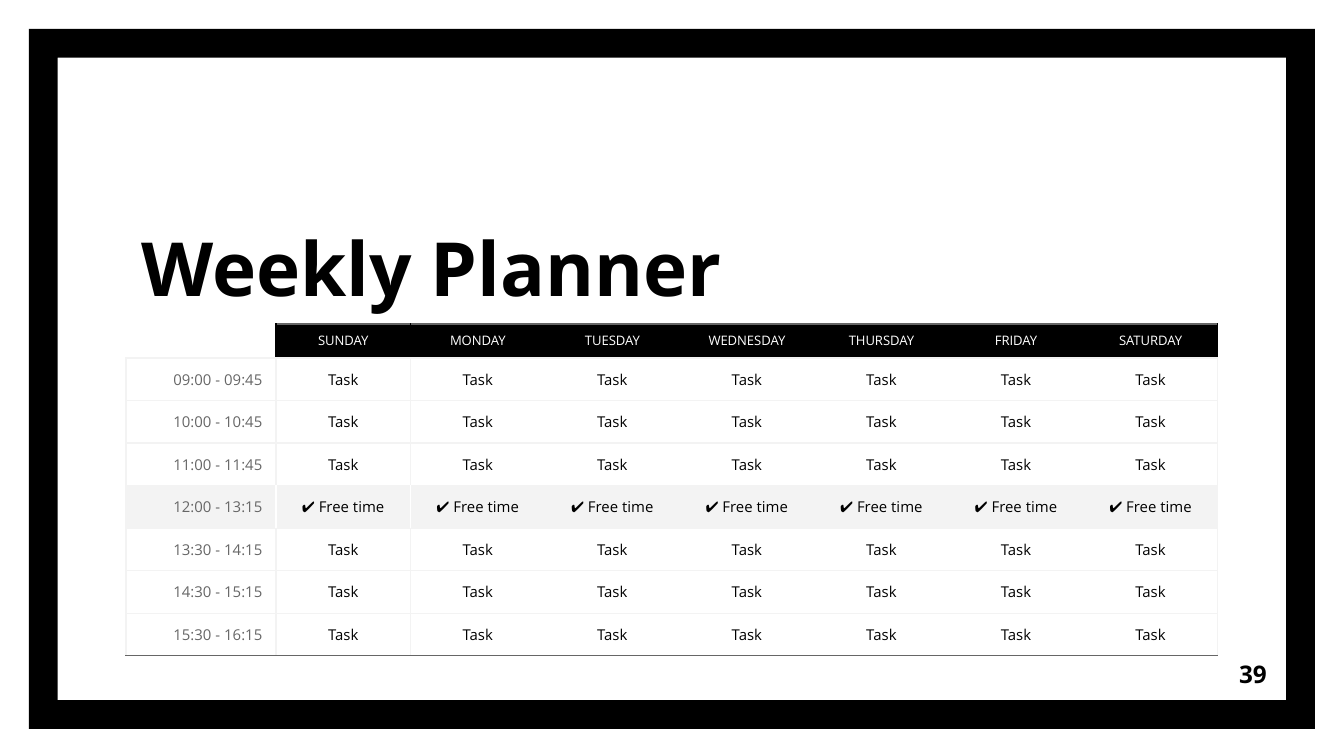
"""Build the weekly planner slide."""
from lxml import etree
from pptx import Presentation
from pptx import util as u
from pptx.dml import color
from pptx.enum import shapes, text
from pptx.oxml import ns

SCALE = 914400 / 134.4
BLACK, GREY, PALE, WHITE = "000000", "666666", "F3F3F3", "FFFFFF"
LEFT, CENTER, RIGHT = text.PP_ALIGN.LEFT, text.PP_ALIGN.CENTER, text.PP_ALIGN.RIGHT
DAYS = ["SUNDAY", "MONDAY", "TUESDAY", "WEDNESDAY", "THURSDAY", "FRIDAY", "SATURDAY"]
TIMES = ["09:00 - 09:45", "10:00 - 10:45", "11:00 - 11:45", "12:00 - 13:15",
         "13:30 - 14:15", "14:30 - 15:15", "15:30 - 16:15"]
FREE_ROW = 4
NO_STYLE = "{2D5ABB26-0587-4C30-8999-92F81FD0307C}"


def rgb(value):
    return color.RGBColor.from_string(value)


def write(frame, words, size, shade, align, bold=False):
    para = frame.paragraphs[0]
    para.alignment = align
    span = para.add_run()
    span.text = words
    look = {"name": "Open Sans", "size": u.Pt(size), "bold": bold}
    for name, value in look.items():
        setattr(span.font, name, value)
    span.font.color.rgb = rgb(shade)


deck = Presentation()
deck.slide_width, deck.slide_height = [round(n * SCALE) for n in (1344, 756)]
page = deck.slides.add_slide(deck.slide_layouts[5])

border = page.shapes.add_shape(
    shapes.MSO_SHAPE.FRAME, *[round(n * SCALE) for n in (29, 29, 1286, 700)])
border.adjustments[0] = 0.041
border.shadow.inherit = False
border.fill.solid()
border.fill.fore_color.rgb = rgb(BLACK)
border.line.fill.background()

title = page.shapes.title
number = page.shapes.add_textbox(0, 0, 0, 0)
inset = u.Inches(0.1)
for box, place, anchor, words, size, align in [
    (title, (128, 125, 749, 200), text.MSO_ANCHOR.BOTTOM, "Weekly Planner", 40, LEFT),
    (number, (1199, 645, 81, 58), text.MSO_ANCHOR.MIDDLE, "39", 13, RIGHT),
]:
    for name, value in zip(("left", "top", "width", "height"), place):
        setattr(box, name, round(value * SCALE))
    layout = {"word_wrap": True, "auto_size": text.MSO_AUTO_SIZE.NONE,
              "vertical_anchor": anchor, "margin_left": inset, "margin_right": inset,
              "margin_top": inset, "margin_bottom": inset}
    for name, value in layout.items():
        setattr(box.text_frame, name, value)
    write(box.text_frame, words, size, BLACK, align, bold=True)

last_row, last_column = len(TIMES), len(DAYS)
planner = page.shapes.add_table(
    last_row + 1, last_column + 1, *[round(n * SCALE) for n in (126, 324, 1092, 332)])
table = planner.table
table.first_row = table.horz_banding = False
planner._element.find(".//" + ns.qn("a:tableStyleId")).text = NO_STYLE
for index, column in enumerate(table.columns):
    column.width = round((942 / last_column if index else 150) * SCALE)
for index, line in enumerate(table.rows):
    line.height = round((298 / last_row if index else 34) * SCALE)

for row in range(last_row + 1):
    for col in range(last_column + 1):
        cell = table.cell(row, col)
        cell.vertical_anchor = text.MSO_ANCHOR.MIDDLE
        header, free = row == 0, row == FREE_ROW

        sides = {}
        upright = BLACK if header else PALE
        divider = WHITE if free else upright
        if col == 1 or (col == 0 and not header):
            sides["a:lnL"] = divider if col else upright
        if col in (0, last_column):
            sides["a:lnR"] = upright if col else divider
        if not header or col:
            sides["a:lnT"] = GREY if header else PALE
        sides["a:lnB"] = GREY if row == last_row else PALE
        properties = cell._tc.get_or_add_tcPr()
        for side, shade in sides.items():
            edge = etree.SubElement(properties, ns.qn(side), w=str(u.Pt(0.75)))
            fill = etree.SubElement(edge, ns.qn("a:solidFill"))
            etree.SubElement(fill, ns.qn("a:srgbClr"), val=shade)

        if free or (header and col):
            cell.fill.solid()
            cell.fill.fore_color.rgb = rgb(PALE if free else BLACK)
        else:
            cell.fill.background()

        if header and col:
            write(cell.text_frame, DAYS[col - 1], 7, WHITE, CENTER)
        elif header:
            etree.SubElement(cell.text_frame.paragraphs[0]._p, ns.qn("a:endParaRPr"), sz="700")
        elif col:
            write(cell.text_frame, "✔ Free time" if free else "Task", 8, BLACK, CENTER)
        else:
            write(cell.text_frame, TIMES[row - 1], 8, GREY, RIGHT)

deck.save("out.pptx")
